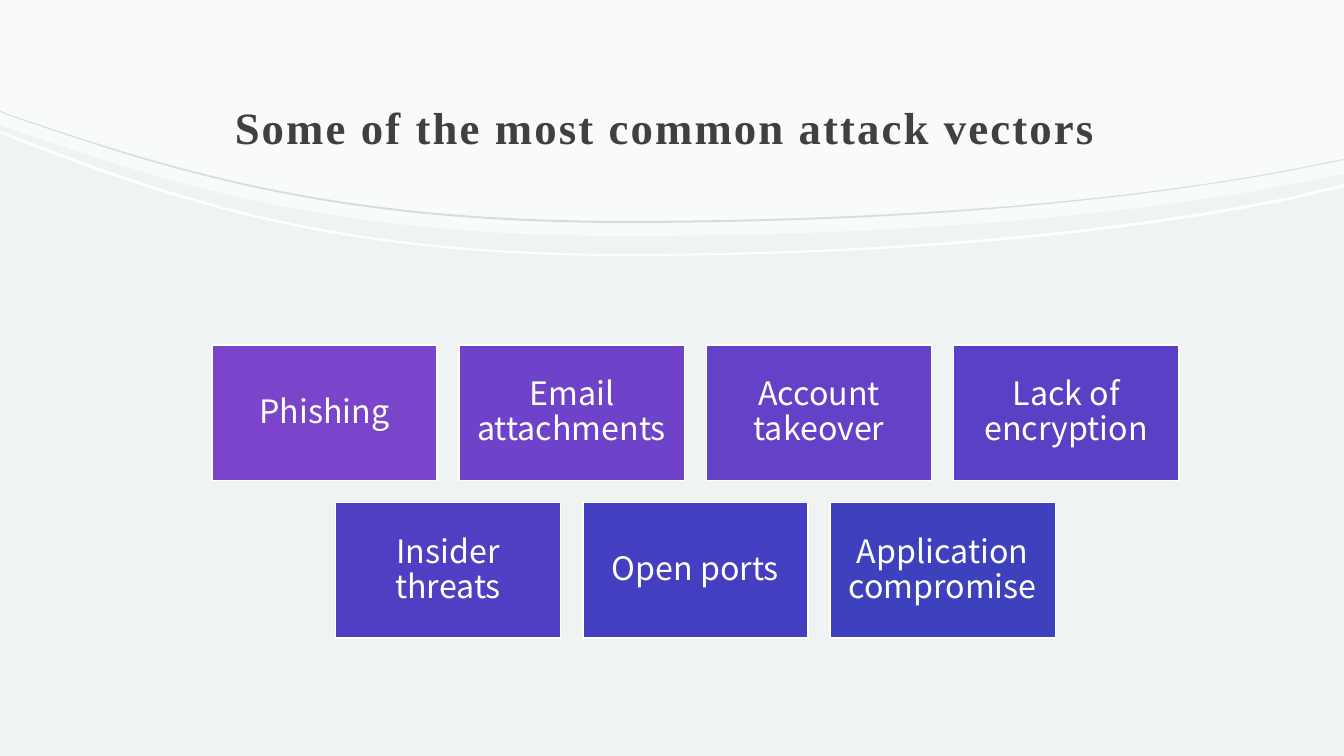
from pptx import Presentation
from pptx import util as u
from pptx.dml.color import RGBColor
from pptx.enum import shapes, text
from pptx.oxml.ns import qn
from lxml import etree

PX = 12192000 / 1344
SLIDE_W, SLIDE_H = 1344, 756
WHITE = "FFFFFF"

# Horizontal stations shared by every sweep: edge, knee, two Bézier arcs, edge
SWEEP_X = (0, 19, 180, 336, 625, 882, 1118, 1299, 1344)
ARC_STARTS = (2, 5)
VEIL = (125, 132, 187, 236, 236, 236, 218, 183, 174)
WHITE_TOP = (131, 138, 200, 254, 254, 254, 233, 195, 184)
WHITE_BASE = (133, 141, 203, 256, 256, 256, 236, 198, 187)
GREY_TOP = (111, 118, 172, 221, 221, 221, 203, 168, 159)
GREY_BASE = (112, 119, 174, 223, 223, 223, 204, 169, 160)

VECTOR_ROWS = (
    (("Phishing", "7A45CB"), ("Email attachments", "6F43C9"),
     ("Account takeover", "6442C7"), ("Lack of encryption", "5940C5")),
    (("Insider threats", "4E3FC3"), ("Open ports", "443EC1"),
     ("Application compromise", "3E41BD")),
)


def px(length):
    return u.Emu(round(length * PX))


def paint(fill, colour):
    fill.solid()
    fill.fore_color.rgb = RGBColor.from_string(colour)


def set_insets(frame, left, top, right, bottom):
    frame.margin_left, frame.margin_top = px(left), px(top)
    frame.margin_right, frame.margin_bottom = px(right), px(bottom)


def sweep(heights):
    return list(zip(SWEEP_X, heights))


def bend(band, starts):
    """Turn three line segments from each start into one cubic arc."""
    segments = list(next(band._element.iter(qn("a:path"))))
    for start in starts:
        first, *others = segments[start:start + 3]
        arc = etree.Element(qn("a:cubicBezTo"))
        first.addprevious(arc)
        for segment in (first, *others):
            arc.append(segment[0])
            segment.getparent().remove(segment)


def add_band(slide, upper, lower, colour, opacity=100):
    """Fill the area between two outlines running left to right."""
    outline = [(px(x), px(y)) for x, y in upper + lower[::-1]]
    builder = slide.shapes.build_freeform(*outline[0], scale=1.0)
    builder.add_line_segments(outline[1:], close=True)
    band = builder.convert_to_shape()
    bend(band, [offset + start
                for offset, side in ((0, upper), (len(upper), lower))
                if len(side) == len(SWEEP_X) for start in ARC_STARTS])
    band.shadow.inherit = False
    band.line.fill.background()
    paint(band.fill, colour)
    if opacity < 100:
        swatch = band.fill._xPr.find(qn("a:solidFill"))[0]
        etree.SubElement(swatch, qn("a:alpha"), val=str(opacity * 1000))


def add_header(slide, left, top, width, height):
    # Curved backdrop
    add_band(slide, [(0, 0), (SLIDE_W, 0)], sweep(VEIL), WHITE, 60)
    add_band(slide, sweep(WHITE_TOP), sweep(WHITE_BASE), WHITE)

    # Title, brought in front of the veil
    title = slide.shapes.title
    slide.shapes._spTree.append(title._element)
    title.left, title.top = px(left), px(top)
    title.width, title.height = px(width), px(height)
    frame = title.text_frame
    frame.text = "Some of the most common attack vectors "
    frame.word_wrap = True
    frame.auto_size = text.MSO_AUTO_SIZE.NONE
    frame.vertical_anchor = text.MSO_ANCHOR.MIDDLE
    set_insets(frame, 12, 12, 12, 10)
    heading = frame.paragraphs[0]
    heading.alignment = text.PP_ALIGN.CENTER
    heading.line_spacing = 1.3
    heading.font.name, heading.font.size = "Times New Roman", u.Pt(32)
    heading.font.bold = True
    heading.font.color.rgb = RGBColor.from_string("404040")
    heading.runs[0]._r.get_or_add_rPr().set("spc", "150")

    # Thin grey sweep
    add_band(slide, sweep(GREY_TOP), sweep(GREY_BASE), "D5DEDE")


def add_tile(slide, left, top, width, height, label, colour):
    tile = slide.shapes.add_shape(shapes.MSO_SHAPE.RECTANGLE,
                                  px(left), px(top), px(width), px(height))
    tile.shadow.inherit = False
    paint(tile.fill, colour)
    paint(tile.line.fill, WHITE)
    tile.line.width = u.Pt(1)
    frame = tile.text_frame
    frame.text = label
    frame.word_wrap = True
    frame.vertical_anchor = text.MSO_ANCHOR.MIDDLE
    set_insets(frame, 10, 10, 10, 10)
    caption = frame.paragraphs[0]
    caption.alignment = text.PP_ALIGN.CENTER
    caption.line_spacing = 0.9
    caption.font.name, caption.font.size = "Noto Sans CJK JP", u.Pt(23)
    caption.font.color.rgb = RGBColor.from_string(WHITE)


def add_vectors(slide, left, top, width, height, gap=22):
    """Rows of equal tiles, each row centred in the box."""
    columns = max(map(len, VECTOR_ROWS))
    tile_w = (width - gap * (columns - 1)) / columns
    tile_h = (height - gap * (len(VECTOR_ROWS) - 1)) / len(VECTOR_ROWS)
    for row, vectors in enumerate(VECTOR_ROWS):
        indent = (columns - len(vectors)) * (tile_w + gap) / 2
        for column, (label, colour) in enumerate(vectors):
            add_tile(slide, left + indent + column * (tile_w + gap),
                     top + row * (tile_h + gap), tile_w, tile_h, label, colour)


def main():
    deck = Presentation()
    deck.slide_width, deck.slide_height = px(SLIDE_W), px(SLIDE_H)
    slide = deck.slides.add_slide(deck.slide_layouts.get_by_name("Title Only"))
    paint(slide.background.fill, "F0F3F3")
    add_header(slide, 134, 60, 1075, 115)
    add_vectors(slide, 212, 345, 967, 293)
    deck.save("out.pptx")


if __name__ == "__main__":
    main()
